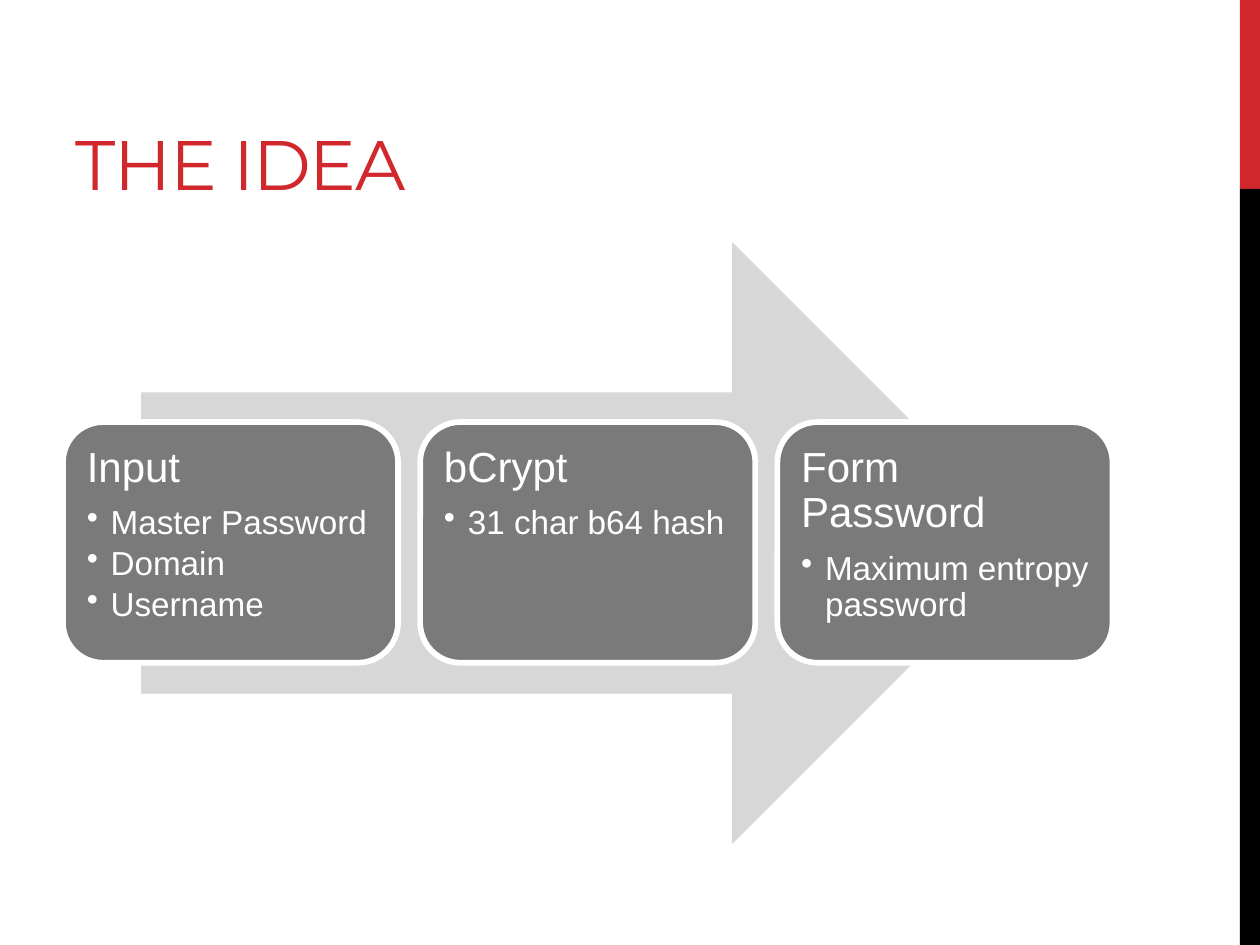
from lxml.etree import SubElement as Sub
from pptx import Presentation
from pptx.dml.color import RGBColor as Rgb
from pptx.enum.shapes import MSO_SHAPE as Kind
from pptx.enum.text import MSO_ANCHOR as Anchor
from pptx.oxml.ns import qn
from pptx.util import Inches, Pt

RED = Rgb(0xD1, 0x28, 0x2E)
BLACK = Rgb(0, 0, 0)
WHITE = Rgb(0xFF, 0xFF, 0xFF)
PALE = Rgb(0xD7, 0xD7, 0xD7)
GRAY = Rgb(0x7A, 0x7A, 0x7A)

STEPS = [
    ("Input", ["Master Password", "Domain", "Username"]),
    ("bCrypt", ["31 char b64 hash"]),
    ("Form Password", ["Maximum entropy password"]),
]
LEFT, TOP, WIDE, HIGH = 0.5, 3.35, 2.66, 1.91
PITCH = 2.835
PAD = 0.09

HEAD = {"line_spacing": 0.9, "space_after": Pt(8.4)}
ITEM = {"line_spacing": 0.9, "space_after": Pt(2.85), "level": 1}


def apply(obj, form):
    for name, value in form.items():
        setattr(obj, name, value)


def add_block(slide, kind, box, fill, edge=None):
    shape = slide.shapes.add_shape(kind, *map(Inches, box))
    shape.shadow.inherit = False
    shape.fill.solid()
    shape.fill.fore_color.rgb = fill
    if edge:
        shape.line.color.rgb = edge
        shape.line.width = Pt(3.25)
    else:
        shape.line.fill.background()


def add_frame(slide, box, inset, anchor=Anchor.TOP):
    frame = slide.shapes.add_textbox(*map(Inches, box)).text_frame
    sides = ("left", "top", "right", "bottom")
    apply(frame, {f"margin_{side}": Inches(inset) for side in sides})
    apply(frame, {"word_wrap": True, "vertical_anchor": anchor})
    return frame


def write(para, text, size, color, font="Arial", form=None):
    run = para.add_run()
    run.text = text
    apply(run.font, {"size": Pt(size), "name": font})
    run.font.color.rgb = color
    apply(para, form or {})
    return run


def add_dot(para):
    props = para._p.get_or_add_pPr()
    props.set("marL", str(Inches(0.19)))
    props.set("indent", str(-Inches(0.19)))
    Sub(props, qn("a:buChar")).set("char", "•")


def add_title(slide, text):
    frame = add_frame(slide, (0.5, 0.17, 6.33, 1.5), 0.1, Anchor.BOTTOM)
    apply(frame, {"margin_top": Inches(0.05), "margin_bottom": Inches(0.05)})
    run = write(frame.paragraphs[0], text, 40, RED, "Montserrat")
    run.font._element.set("spc", "-60")


def add_step(slide, left, head, items):
    add_block(slide, Kind.ROUNDED_RECTANGLE, (left, TOP, WIDE, HIGH), GRAY, WHITE)
    box = (left + PAD, TOP + PAD, WIDE - 2 * PAD, HIGH - 2 * PAD)
    frame = add_frame(slide, box, 0.1)
    write(frame.paragraphs[0], head, 24, WHITE, form=HEAD)
    for item in items:
        para = frame.add_paragraph()
        write(para, item, 19, WHITE, form=ITEM)
        add_dot(para)


def main():
    deck = Presentation()
    apply(deck, {"slide_width": Inches(10), "slide_height": Inches(7.5)})
    slide = deck.slides.add_slide(deck.slide_layouts[6])

    # Side bars
    add_block(slide, Kind.RECTANGLE, (9.84, 0, 0.16, 1.5), RED)
    add_block(slide, Kind.RECTANGLE, (9.84, 1.5, 0.16, 6), BLACK)

    add_title(slide, "THE IDEA")

    # Process arrow with its steps
    add_block(slide, Kind.RIGHT_ARROW, (1.12, 1.92, 7.08, 4.78), PALE)
    for i, (head, items) in enumerate(STEPS):
        add_step(slide, LEFT + i * PITCH, head, items)

    deck.save("out.pptx")


if __name__ == "__main__":
    main()
